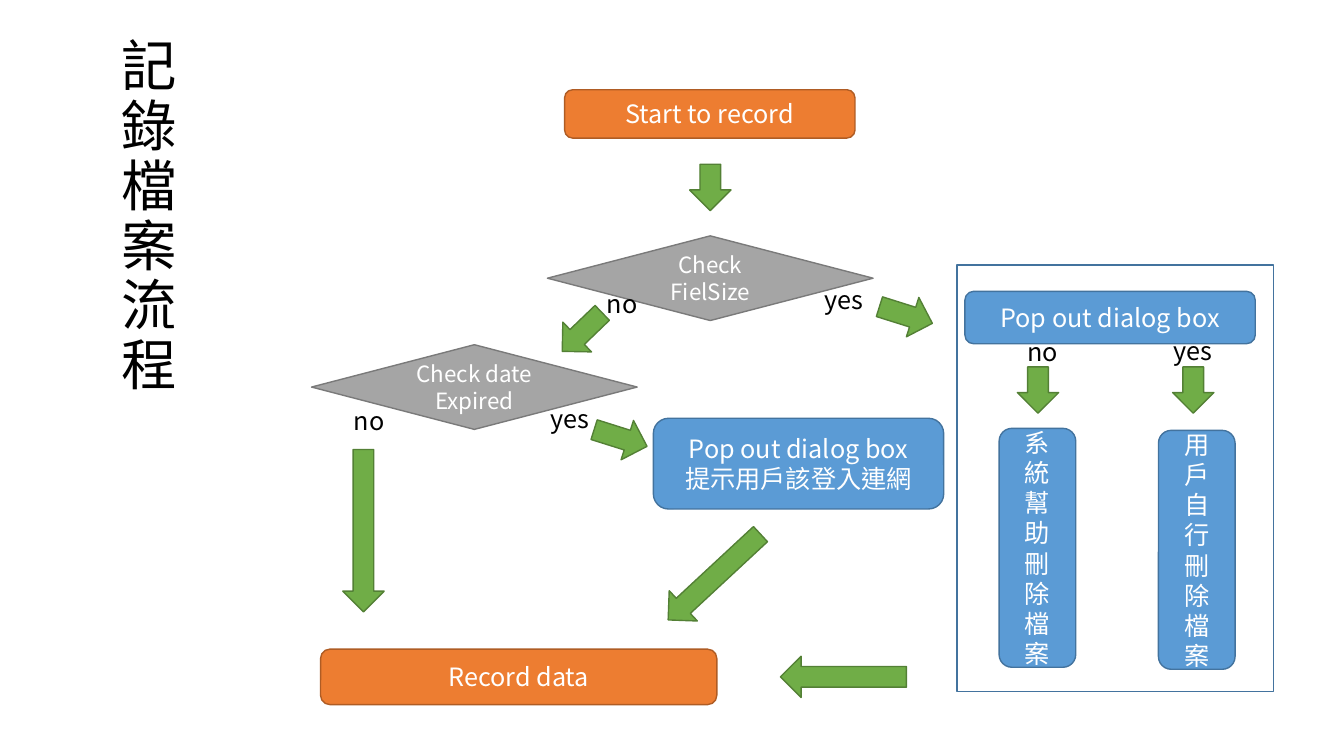
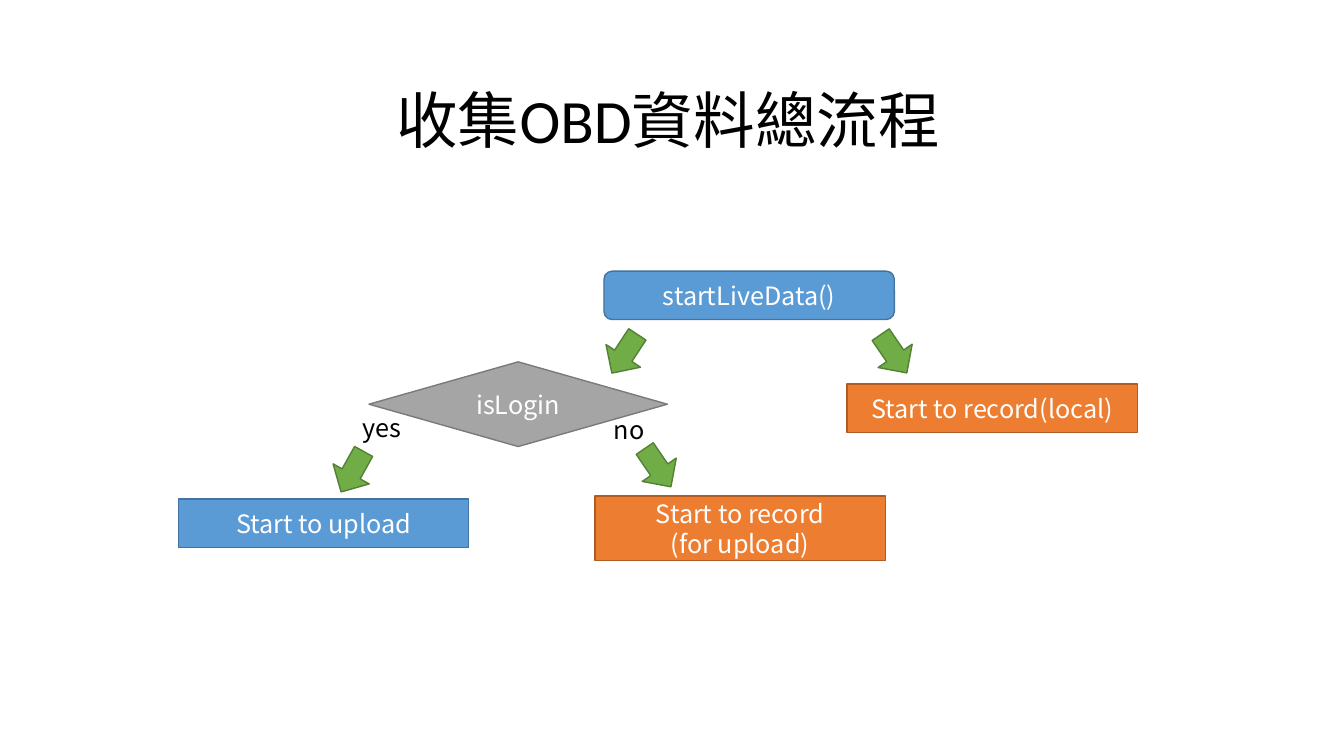
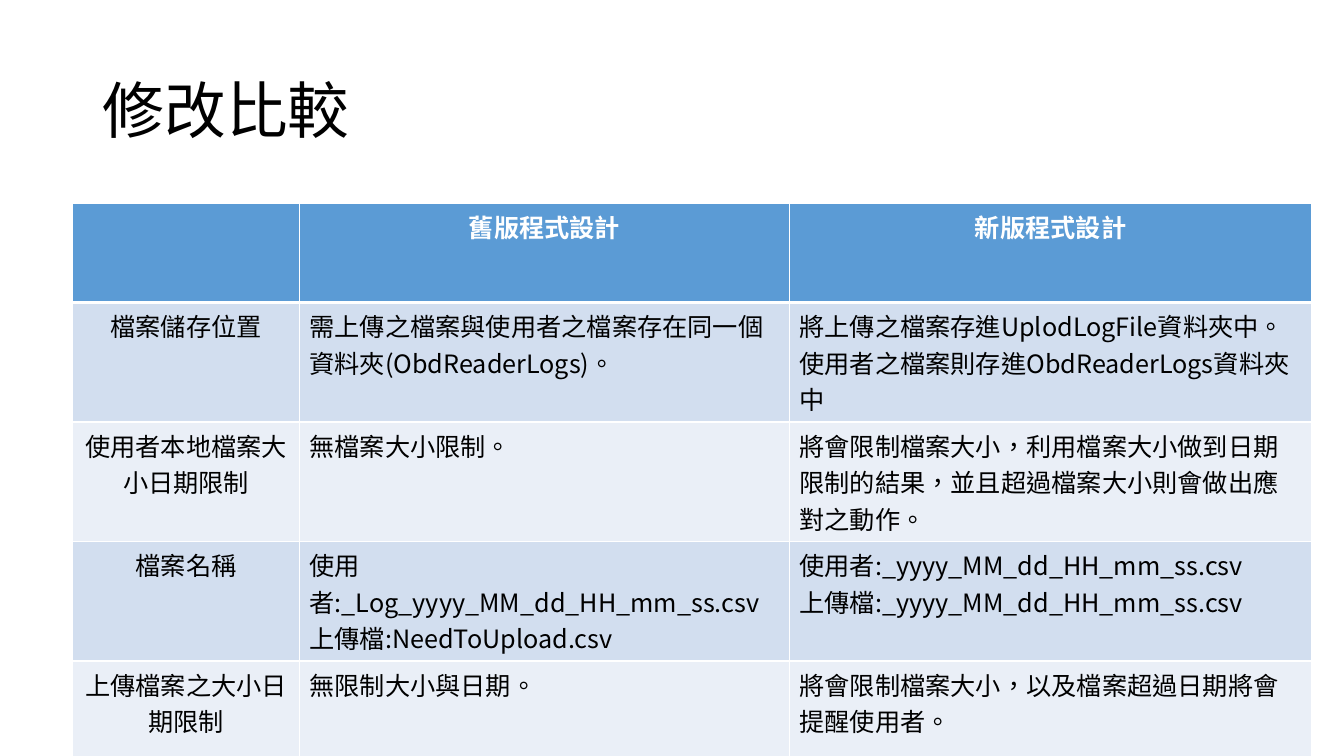
from typing import NamedTuple

from lxml.etree import SubElement
from pptx import Presentation
from pptx.dml.color import RGBColor
from pptx.enum.shapes import MSO_SHAPE
from pptx.enum.text import MSO_ANCHOR, MSO_AUTO_SIZE, PP_ALIGN
from pptx.oxml.ns import qn
from pptx.util import Inches, Pt

BLACK = RGBColor(0x00, 0x00, 0x00)
WHITE = RGBColor(0xFF, 0xFF, 0xFF)
PALE = RGBColor(0xEA, 0xEF, 0xF7)
LIGHT = RGBColor(0xD2, 0xDE, 0xEF)
BLUE = RGBColor(0x5B, 0x9B, 0xD5)
NAVY = RGBColor(0x43, 0x73, 0x9E)
ORANGE = RGBColor(0xED, 0x7D, 0x31)
RUST = RGBColor(0xAF, 0x5C, 0x24)
GREY = RGBColor(0xA5, 0xA5, 0xA5)
SLATE = RGBColor(0x7A, 0x7A, 0x7A)
GREEN = RGBColor(0x70, 0xAD, 0x47)
MOSS = RGBColor(0x53, 0x80, 0x35)
EDGE = {BLUE: NAVY, ORANGE: RUST, GREY: SLATE, GREEN: MOSS, None: NAVY}

CJK = "Noto Sans CJK SC"
LATIN = "Calibri"
RECT, ROUND = MSO_SHAPE.RECTANGLE, MSO_SHAPE.ROUNDED_RECTANGLE
RHOMB, ARROW = MSO_SHAPE.DIAMOND, MSO_SHAPE.DOWN_ARROW
WIDE = 2.88
THICK = 0.41
SHORT = 0.46


class Node(NamedTuple):
    kind: MSO_SHAPE
    left: float
    top: float
    width: float
    height: float
    fill: RGBColor | None
    text: str = ""
    size: float = 18
    turn: float = 0


class Label(NamedTuple):
    text: str
    left: float
    top: float


def arrow(left: float, top: float, length: float = SHORT, turn: float = 0) -> Node:
    return Node(ARROW, left, top, THICK, length, GREEN, turn=turn)


def write(frame, text: str, size: float, color: RGBColor, align: PP_ALIGN,
          bold: bool = False, face: str = CJK, space: float | None = None) -> None:
    """Fill a text frame, one paragraph for each line of text."""
    style = {"size": Pt(size), "name": face, "bold": bold}
    for index, line in enumerate(text.split("\n")):
        para = frame.add_paragraph() if index else frame.paragraphs[0]
        para.alignment = align
        if space:
            para.line_spacing = space
        run = para.add_run()
        run.text = line
        for key, value in style.items():
            setattr(run.font, key, value)
        run.font.color.rgb = color
        props = run._r.get_or_add_rPr()
        props.set("lang", "zh-TW")
        SubElement(props, qn("a:ea")).set("typeface", CJK)


def add_slide(deck, text: str, box: tuple[float, ...], size: float = 44, face: str = CJK):
    slide = deck.slides.add_slide(deck.slide_layouts[5])
    title = slide.shapes.title
    title.left, title.top, title.width, title.height = map(Inches, box)
    frame = title.text_frame
    frame.word_wrap = True
    frame.auto_size = MSO_AUTO_SIZE.NONE
    frame.vertical_anchor = MSO_ANCHOR.MIDDLE
    write(frame, text, size, BLACK, PP_ALIGN.LEFT, face=face, space=0.9)
    return slide


def draw_node(slide, node: Node) -> None:
    shape = slide.shapes.add_shape(node.kind, *map(Inches, node[1:5]))
    shape.shadow.inherit = False
    shape.rotation = node.turn
    if node.fill is None:
        shape.fill.background()
    else:
        shape.fill.solid()
        shape.fill.fore_color.rgb = node.fill
    shape.line.color.rgb = EDGE[node.fill]
    shape.line.width = Pt(1)
    if node.text:
        frame = shape.text_frame
        frame.word_wrap = True
        frame.vertical_anchor = MSO_ANCHOR.MIDDLE
        write(frame, node.text, node.size, WHITE, PP_ALIGN.CENTER)


def draw_label(slide, label: Label) -> None:
    width = 0.59 if label.text == "yes" else 0.56
    box = slide.shapes.add_textbox(*map(Inches, (label.left, label.top, width, 0.4)))
    box.text_frame.word_wrap = False
    write(box.text_frame, label.text, 18, BLACK, PP_ALIGN.LEFT)


def draw_flow(slide, nodes: list[Node], labels: list[Label]) -> None:
    for node in nodes:
        draw_node(slide, node)
    for label in labels:
        draw_label(slide, label)


def set_edges(cell, bottom: float) -> None:
    """Give a cell white borders; only the bottom width varies."""
    props = cell._tc.get_or_add_tcPr()
    for index, (side, width) in enumerate(
            {"lnL": 1, "lnR": 1, "lnT": 1, "lnB": bottom}.items()):
        line = SubElement(props, qn(f"a:{side}"), w=str(Pt(width)))
        fill = SubElement(line, qn("a:solidFill"))
        SubElement(fill, qn("a:srgbClr"), val=str(WHITE))
        props.insert(index, line)


def draw_table(slide, rows: list[tuple[str, ...]], widths: tuple[float, ...]) -> None:
    height = 0.98
    box = (0.72, 2.02, sum(widths), height * len(rows))
    table = slide.shapes.add_table(len(rows), len(widths), *map(Inches, box)).table
    for column, width in zip(table.columns, widths):
        column.width = Inches(width)
    for r, row in enumerate(rows):
        table.rows[r].height = Inches(height)
        head = r == 0
        for c, text in enumerate(row):
            cell = table.cell(r, c)
            cell.fill.solid()
            cell.fill.fore_color.rgb = BLUE if head else LIGHT if r % 2 else PALE
            set_edges(cell, 3 if head else 1)
            if text:
                align = PP_ALIGN.CENTER if head or c == 0 else PP_ALIGN.LEFT
                write(cell.text_frame, text, 18, WHITE if head else BLACK, align, head)


RECORD = [
    Node(ROUND, 5.6, 0.89, WIDE, 0.48, ORANGE, "Start to record"),
    arrow(6.84, 1.63),
    Node(RHOMB, 5.43, 2.34, 3.23, 0.84, GREY, "Check\nFielSize", 16),
    arrow(5.57, 3.02, 0.55, 46.1),
    Node(RHOMB, 3.09, 3.42, 3.23, 0.84, GREY, "Check date Expired", 16),
    arrow(8.78, 2.85, 0.55, 287.5),
    Node(ROUND, 9.57, 2.89, WIDE, 0.52, BLUE, "Pop out dialog box"),
    arrow(10.09, 3.64),
    arrow(11.63, 3.64),
    Node(ROUND, 11.49, 4.27, 0.76, 2.37, BLUE, "用戶自行刪除檔案"),
    Node(ROUND, 9.91, 4.25, 0.76, 2.37, BLUE, "系統幫助刪除檔案"),
    Node(ROUND, 6.48, 4.15, WIDE, 0.9, BLUE, "Pop out dialog box\n提示用戶該登入連網"),
    arrow(3.4, 4.46, 1.61),
    arrow(5.95, 4.07, 0.55, 287.5),
    Node(RECT, 9.49, 2.63, 3.14, 4.23, None),
    Node(ROUND, 3.18, 6.44, 3.93, 0.55, ORANGE, "Record data"),
    arrow(6.88, 5.1, 1.25, 47.1),
    arrow(8.16, 6.09, 1.25, 90),
]
RECORD_LABELS = [
    Label("yes", 8.08, 2.77), Label("no", 10.09, 3.29), Label("yes", 11.54, 3.28),
    Label("no", 5.92, 2.81), Label("yes", 5.36, 3.95), Label("no", 3.41, 3.97),
]
COLLECT = [
    Node(ROUND, 5.99, 2.69, WIDE, 0.48, BLUE, "startLiveData()"),
    Node(RECT, 1.77, 4.95, WIDE, 0.48, BLUE, "Start to upload"),
    Node(RECT, 8.4, 3.81, WIDE, 0.48, ORANGE, "Start to record(local)"),
    arrow(5.99, 3.28, turn=33.3),
    arrow(8.66, 3.28, turn=325.6),
    Node(RHOMB, 3.66, 3.59, 2.96, 0.84, GREY, "isLogin"),
    arrow(3.29, 4.45, turn=29.1),
    arrow(6.32, 4.41, turn=325.6),
    Node(RECT, 5.9, 4.92, WIDE, 0.64, ORANGE, "Start to record\n(for upload)"),
]
COLLECT_LABELS = [Label("yes", 3.5, 4.04), Label("no", 5.99, 4.06)]
CHANGES = [
    ("", "舊版程式設計", "新版程式設計"),
    ("檔案儲存位置",
     "需上傳之檔案與使用者之檔案存在同一個資料夾(ObdReaderLogs)。",
     "將上傳之檔案存進UplodLogFile資料夾中。\n使用者之檔案則存進ObdReaderLogs資料夾中"),
    ("使用者本地檔案大小日期限制",
     "無檔案大小限制。",
     "將會限制檔案大小，利用檔案大小做到日期限制的結果，並且超過檔案大小則會做出應對之動作。"),
    ("檔案名稱",
     "使用者:_Log_yyyy_MM_dd_HH_mm_ss.csv\n上傳檔:NeedToUpload.csv",
     "使用者:_yyyy_MM_dd_HH_mm_ss.csv\n上傳檔:_yyyy_MM_dd_HH_mm_ss.csv"),
    ("上傳檔案之大小日期限制",
     "無限制大小與日期。",
     "將會限制檔案大小，以及檔案超過日期將會提醒使用者。"),
]


def main() -> None:
    deck = Presentation()
    deck.slide_width, deck.slide_height = Inches(13.33), Inches(7.5)
    record = add_slide(deck, "記錄檔案流程", (1.11, 1.44, 1.1, 1.45), 39.6)
    draw_flow(record, RECORD, RECORD_LABELS)
    collect = add_slide(deck, "收集OBD資料總流程", (3.83, 0.83, 5.71, 0.8), face=LATIN)
    draw_flow(collect, COLLECT, COLLECT_LABELS)
    changes = add_slide(deck, "修改比較", (0.92, 0.4, 11.5, 1.45))
    draw_table(changes, CHANGES, (2.25, 4.86, 5.18))
    deck.save("out.pptx")


if __name__ == "__main__":
    main()
